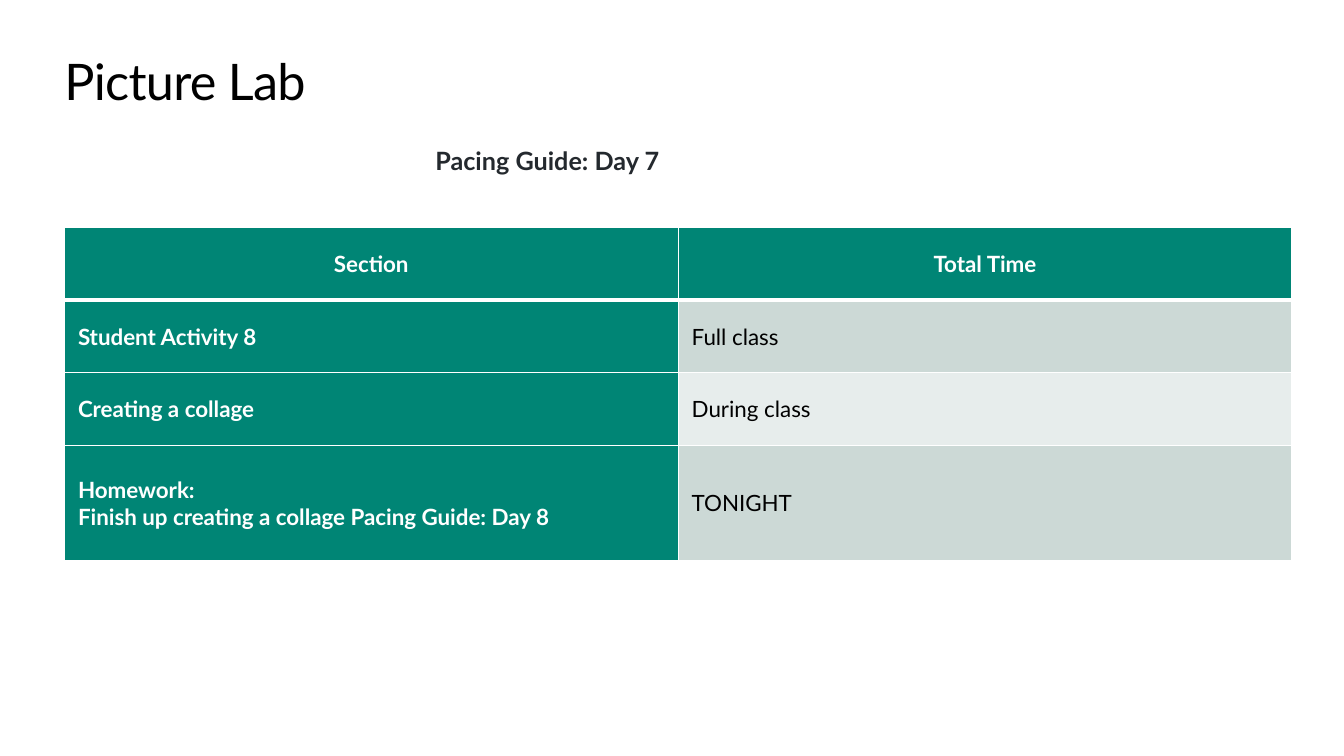
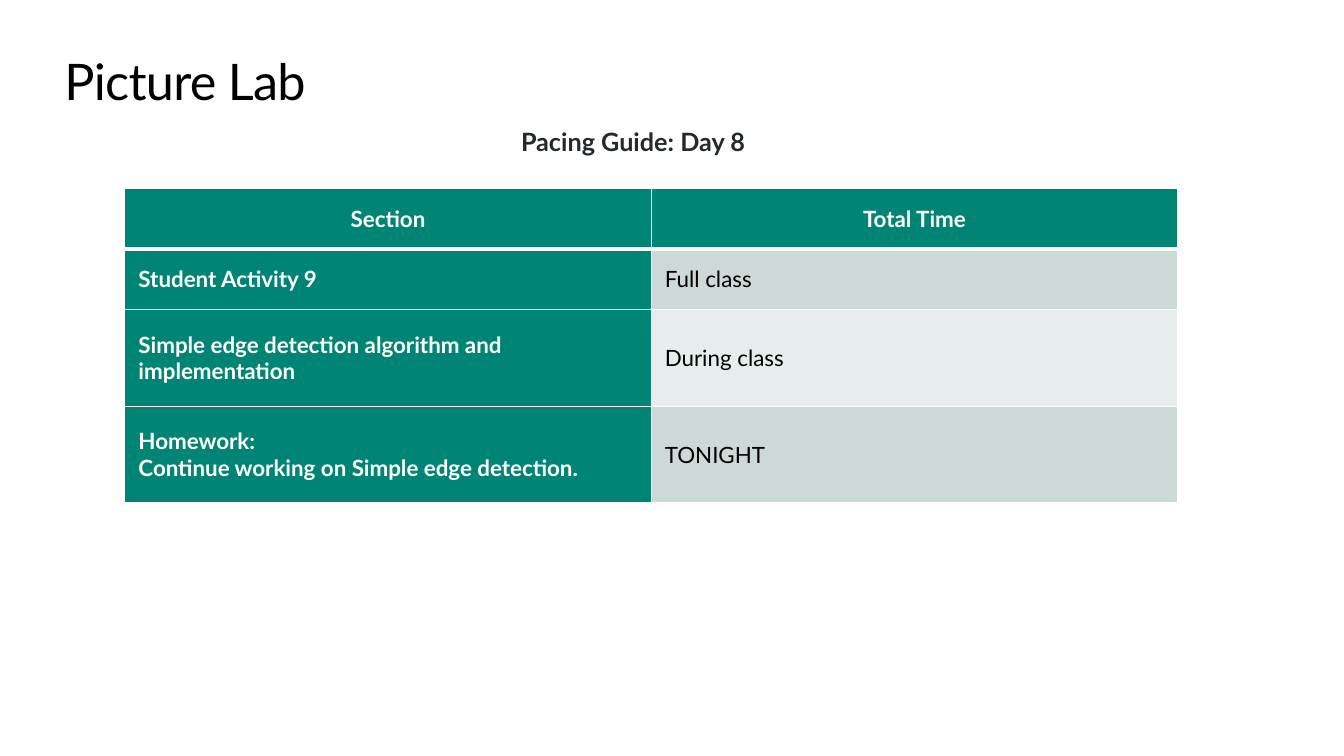
from copy import deepcopy

from lxml.etree import SubElement
from pptx import Presentation
from pptx.dml.color import RGBColor
from pptx.enum.text import MSO_ANCHOR, PP_ALIGN
from pptx.oxml.ns import qn
from pptx.util import Pt

COLORS = {
    "title": "000000",
    "subtitle": "24292E",
    "body": "000000",
    "accent": "008575",
    "on_accent": "FFFFFF",
    "band_dark": "CCD9D6",
    "band_light": "E7EDEC",
    "border": "FFFFFF",
}
FONT = "Lato"
HEADER = ("Section", "Total Time")

GUIDES = [
    {
        "subtitle": "Pacing Guide: Day 7",
        "subtitle_at": (311, 103.7),
        "table_at": (46, 162.6),
        "column_width": 438.4,
        "row_heights": (51.8, 51.8, 51.8, 82.8),
        "rows": [
            ("Student Activity 8", "Full class"),
            ("Creating a collage", "During class"),
            ("Homework:\nFinish up creating a collage Pacing Guide: Day 8", "TONIGHT"),
        ],
    },
    {
        "subtitle": "Pacing Guide: Day 8",
        "subtitle_at": (372.2, 90),
        "table_at": (89.2, 134.7),
        "column_width": 376,
        "row_heights": (43.2, 43.2, 69.1, 69.1),
        "rows": [
            ("Student Activity 9", "Full class"),
            ("Simple edge detection algorithm and implementation", "During class"),
            ("Homework:\nContinue working on Simple edge detection.", "TONIGHT"),
        ],
    },
]


def write(frame, text, size=16, color="body", bold=False,
          align=PP_ALIGN.LEFT, after=0, spacing=0):
    """Fill a text frame with one formatted paragraph; a newline breaks the line."""
    frame.word_wrap = True
    para = frame.paragraphs[0]
    para.text = text
    para.alignment = align
    para.space_after = Pt(after)
    for span in para.runs:
        span.font.name = FONT
        span.font.size = Pt(size)
        span.font.bold = bold
        span.font.color.rgb = RGBColor.from_string(COLORS[color])
        if spacing:
            span.font._element.set("spc", str(round(spacing * 100)))
    # Line breaks take the format of the text, so that line heights match
    for line_break in para._p.findall(qn("a:br")):
        line_break.append(deepcopy(para.runs[0].font._element))


def set_borders(cell, top=1, bottom=1):
    """Draw the four cell borders; widths are in points."""
    properties = cell._tc.get_or_add_tcPr()
    for side, width in (("L", 1), ("R", 1), ("T", top), ("B", bottom)):
        line = SubElement(properties, qn(f"a:ln{side}"), w=str(Pt(width)))
        fill = SubElement(line, qn("a:solidFill"))
        SubElement(fill, qn("a:srgbClr"), val=COLORS["border"])


deck = Presentation()
deck.slide_width, deck.slide_height = Pt(960), Pt(540)

for guide in GUIDES:
    page = deck.slides.add_slide(deck.slide_layouts[6])

    # Title and subtitle
    headings = [
        ("Picture Lab", (46, 36), (867.6, 44),
         {"size": 36, "color": "title", "spacing": -0.5}),
        (guide["subtitle"], guide["subtitle_at"], (216, 21.6),
         {"size": 18, "color": "subtitle", "bold": True}),
    ]
    for text, (left, top), (width, height), style in headings:
        box = page.shapes.add_textbox(Pt(left), Pt(top), Pt(width), Pt(height))
        frame = box.text_frame
        frame.margin_left = frame.margin_right = 0
        frame.margin_top = frame.margin_bottom = 0
        write(frame, text, **style)

    # Table grid
    rows = [HEADER, *guide["rows"]]
    left, top = guide["table_at"]
    heights = guide["row_heights"]
    table = page.shapes.add_table(
        len(rows), len(HEADER), Pt(left), Pt(top),
        Pt(guide["column_width"] * len(HEADER)), Pt(sum(heights))).table
    for column in table.columns:
        column.width = Pt(guide["column_width"])

    # Cells: accent header and first column, banded values
    for row_index, (row, height) in enumerate(zip(rows, heights)):
        table.rows[row_index].height = Pt(height)
        is_header = row_index == 0
        band = "band_dark" if row_index % 2 else "band_light"
        for column_index, text in enumerate(row):
            is_accent = is_header or column_index == 0
            cell = table.cell(row_index, column_index)
            cell.vertical_anchor = MSO_ANCHOR.MIDDLE
            cell.margin_left = cell.margin_right = Pt(9.75)
            cell.margin_top = cell.margin_bottom = Pt(4.5)
            set_borders(cell, top=3 if row_index == 1 else 1,
                        bottom=3 if is_header else 1)
            cell.fill.solid()
            cell.fill.fore_color.rgb = RGBColor.from_string(
                COLORS["accent" if is_accent else band])
            write(cell.text_frame, text, after=12, bold=is_accent,
                  color="on_accent" if is_accent else "body",
                  align=PP_ALIGN.CENTER if is_header else PP_ALIGN.LEFT)

deck.save("out.pptx")
